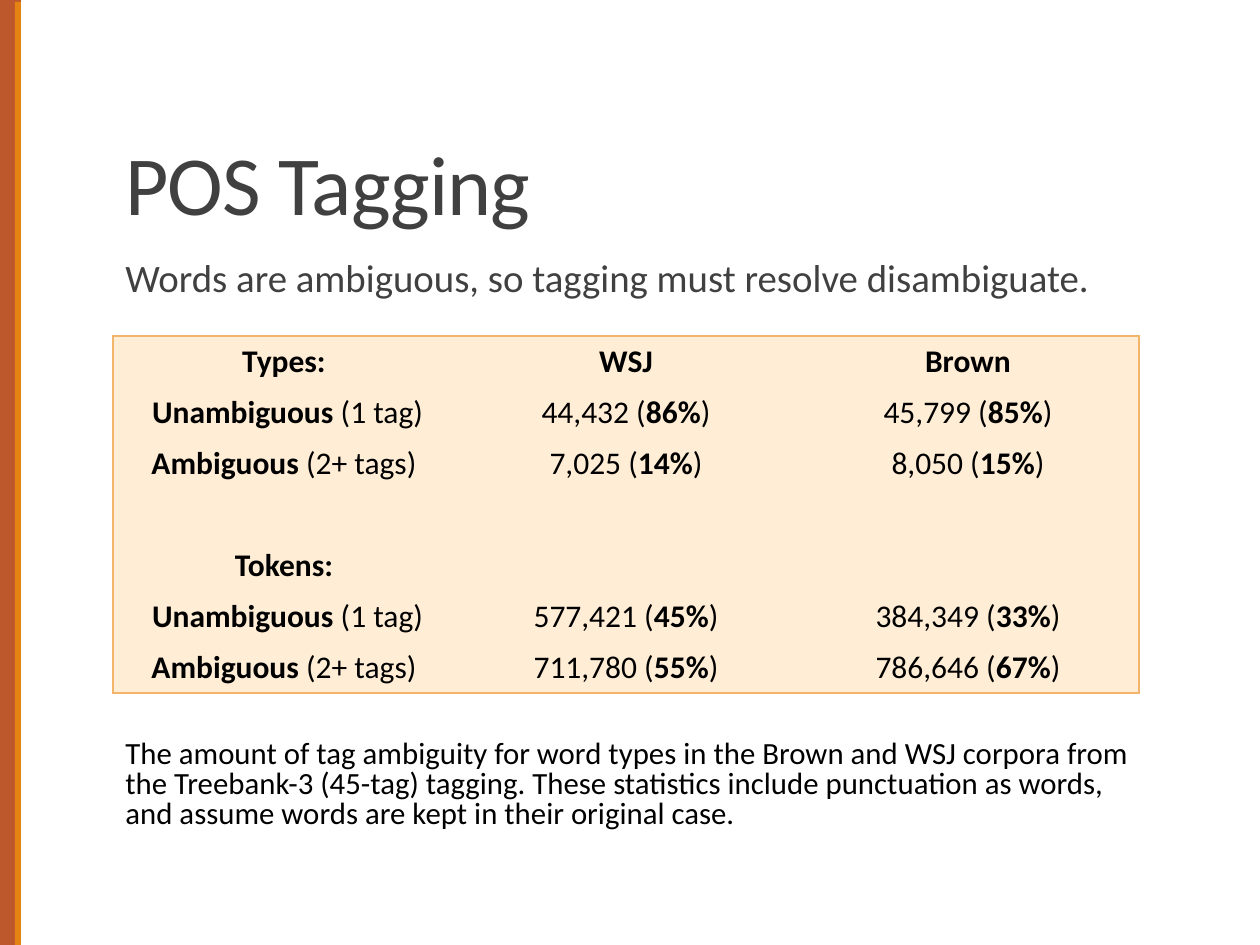
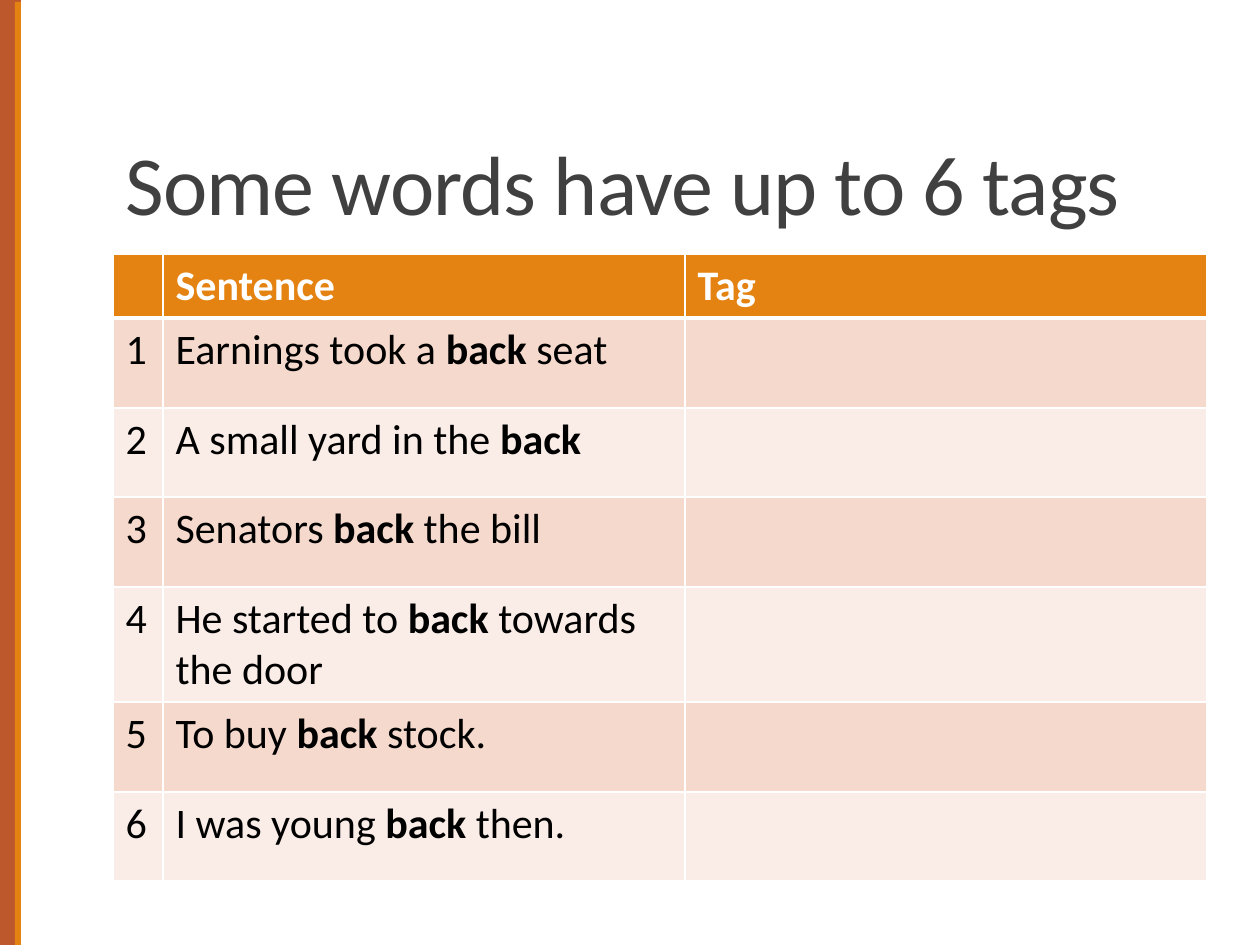
"""Build two slides on part-of-speech ambiguity."""
from lxml.etree import SubElement
from pptx import Presentation
from pptx.dml.color import RGBColor
from pptx.enum.shapes import MSO_SHAPE as Shape
from pptx.enum.text import MSO_ANCHOR as Anchor, PP_ALIGN as Align
from pptx.oxml.ns import qn
from pptx.util import Emu, Pt

EMU_PER_INCH = 914400
PX_PER_INCH = 126
SLIDE_WIDTH, SLIDE_HEIGHT = 1260, 945
LEFT, TEXT_WIDTH = 113, 1040
FONT = "Calibri"
RUST, ORANGE, GREY = "BD582C", "E48312", "404040"
BLACK, WHITE = "000000", "FFFFFF"
CREAM, AMBER = "FFEDD6", "F3B56C"
BANDS = ("F5D9CC", "FAEDE7")
NO_GRID_STYLE = "{2D5ABB26-0587-4C30-8999-92F81FD0307C}"

TAG_COUNTS = [
    ("**Types:**", "**WSJ**", "**Brown**"),
    (" **Unambiguous **(1 tag)", "44,432 (**86%**)", "45,799 (**85%**)"),
    ("**Ambiguous** (2+ tags)", "7,025 (**14%**)", "8,050 (**15%**)"),
    ("", "", ""),
    ("**Tokens:**", "", ""),
    (" **Unambiguous **(1 tag)", "577,421 (**45%**)", "384,349 (**33%**)"),
    ("**Ambiguous **(2+ tags)", "711,780 (**55%**)", "786,646 (**67%**)"),
]
SENTENCES = [
    "Earnings took a **back** seat",
    "A small yard in the **back**",
    "Senators **back** the bill",
    "He started to **back** towards the door",
    "To buy **back** stock.",
    "I was young **back** then.",
]


def px(length):
    return Emu(round(length * EMU_PER_INCH / PX_PER_INCH))


def color(value):
    return RGBColor.from_string(value)


def add_runs(paragraph, text, size, text_color, spacing=None):
    """Add text run by run; parts between double asterisks are bold."""
    for index, part in enumerate(text.split("**")):
        if not part:
            continue
        run = paragraph.add_run()
        run.text = part
        run.font.name = FONT
        run.font.size = Pt(size)
        run.font.bold = index % 2 == 1
        run.font.color.rgb = color(text_color)
        if spacing:
            run.font._element.set("spc", str(spacing))


def add_text(slide, text, top, height, size, text_color, line_spacing,
             anchor=Anchor.TOP, spacing=None):
    box = slide.shapes.add_textbox(px(LEFT), px(top), px(TEXT_WIDTH), px(height))
    frame = box.text_frame
    frame.word_wrap = True
    frame.vertical_anchor = anchor
    frame.margin_right = 0
    paragraph = frame.paragraphs[0]
    paragraph.line_spacing = line_spacing
    add_runs(paragraph, text, size, text_color, spacing)


def add_bar(slide, left, top, width, fill):
    bar = slide.shapes.add_shape(Shape.RECTANGLE, px(left), px(top),
                                 px(width), px(SLIDE_HEIGHT - top))
    bar.shadow.inherit = False
    bar.fill.solid()
    bar.fill.fore_color.rgb = color(fill)
    bar.line.fill.background()


def add_titled_slide(presentation, title):
    slide = presentation.slides.add_slide(presentation.slide_layouts[6])
    add_bar(slide, 0, 0, 21, RUST)
    add_bar(slide, 15, 2, 6, ORANGE)
    add_text(slide, title, 39, 200, 48, GREY, 0.85, Anchor.BOTTOM, -50)
    return slide


def add_plain_table(slide, top, columns, rows):
    frame = slide.shapes.add_table(len(rows), len(columns), px(LEFT), px(top),
                                   px(sum(columns)), px(sum(rows)))
    table = frame.table
    table.first_row = table.horz_banding = False
    table._tbl.tblPr.find(qn("a:tableStyleId")).text = NO_GRID_STYLE
    for column, width in zip(table.columns, columns):
        column.width = px(width)
    for row, height in zip(table.rows, rows):
        row.height = px(height)
    return table


def set_borders(cell, line_color, widths):
    """Draw the given sides, a mapping of L, R, T and B to points."""
    properties = cell._tc.get_or_add_tcPr()
    for side in "LRTB":
        if side in widths:
            line = SubElement(properties, qn(f"a:ln{side}"), w=str(Pt(widths[side])))
            fill = SubElement(line, qn("a:solidFill"))
            SubElement(fill, qn("a:srgbClr"), val=line_color)


def fill_cell(cell, text, size, text_color, fill, align=Align.LEFT):
    cell.fill.solid()
    cell.fill.fore_color.rgb = color(fill)
    paragraph = cell.text_frame.paragraphs[0]
    paragraph.alignment = align
    add_runs(paragraph, text, size, text_color)


def add_count_table(slide):
    """Add the tag counts with one frame around the whole table."""
    table = add_plain_table(slide, 336, [342] * 3, [51] * len(TAG_COUNTS))
    last_row, last_column = len(TAG_COUNTS) - 1, 2
    for row, texts in enumerate(TAG_COUNTS):
        for column, text in enumerate(texts):
            cell = table.cell(row, column)
            edges = {"L": column == 0, "R": column == last_column,
                     "T": row == 0, "B": row == last_row}
            set_borders(cell, AMBER, {side: 1.5 for side in edges if edges[side]})
            fill_cell(cell, text, 18, BLACK, CREAM, Align.CENTER)


def add_sentence_table(slide):
    """Add the banded sentence table with an empty tag column."""
    rows = [("", "**Sentence**", "**Tag**")]
    rows += [(str(number), text, "") for number, text in enumerate(SENTENCES, 1)]
    table = add_plain_table(slide, 254, [50, 522, 522],
                            [64, 90, 89, 90, 115, 90, 89])
    for row, texts in enumerate(rows):
        fill = BANDS[(row - 1) % 2] if row else ORANGE
        for column, text in enumerate(texts):
            cell = table.cell(row, column)
            set_borders(cell, WHITE, {"L": 1, "R": 1, "T": 3 if row == 1 else 1,
                                      "B": 1 if row else 3})
            fill_cell(cell, text, 24, BLACK if row else WHITE, fill)


def main():
    presentation = Presentation()
    presentation.slide_width = px(SLIDE_WIDTH)
    presentation.slide_height = px(SLIDE_HEIGHT)

    slide = add_titled_slide(presentation, "POS Tagging")
    add_text(slide, "Words are ambiguous, so tagging must resolve disambiguate.",
             256, 50, 22.2, GREY, 0.8)
    add_count_table(slide)
    add_text(slide, "The amount of tag ambiguity for word types in the Brown and "
             "WSJ corpora from the Treebank-3 (45-tag) tagging. These statistics "
             "include punctuation as words, and assume words are kept in their "
             "original case.", 735, 110, 17.6, BLACK, 0.8)

    slide = add_titled_slide(presentation, "Some words have up to 6 tags")
    add_sentence_table(slide)

    presentation.save("out.pptx")


if __name__ == "__main__":
    main()
